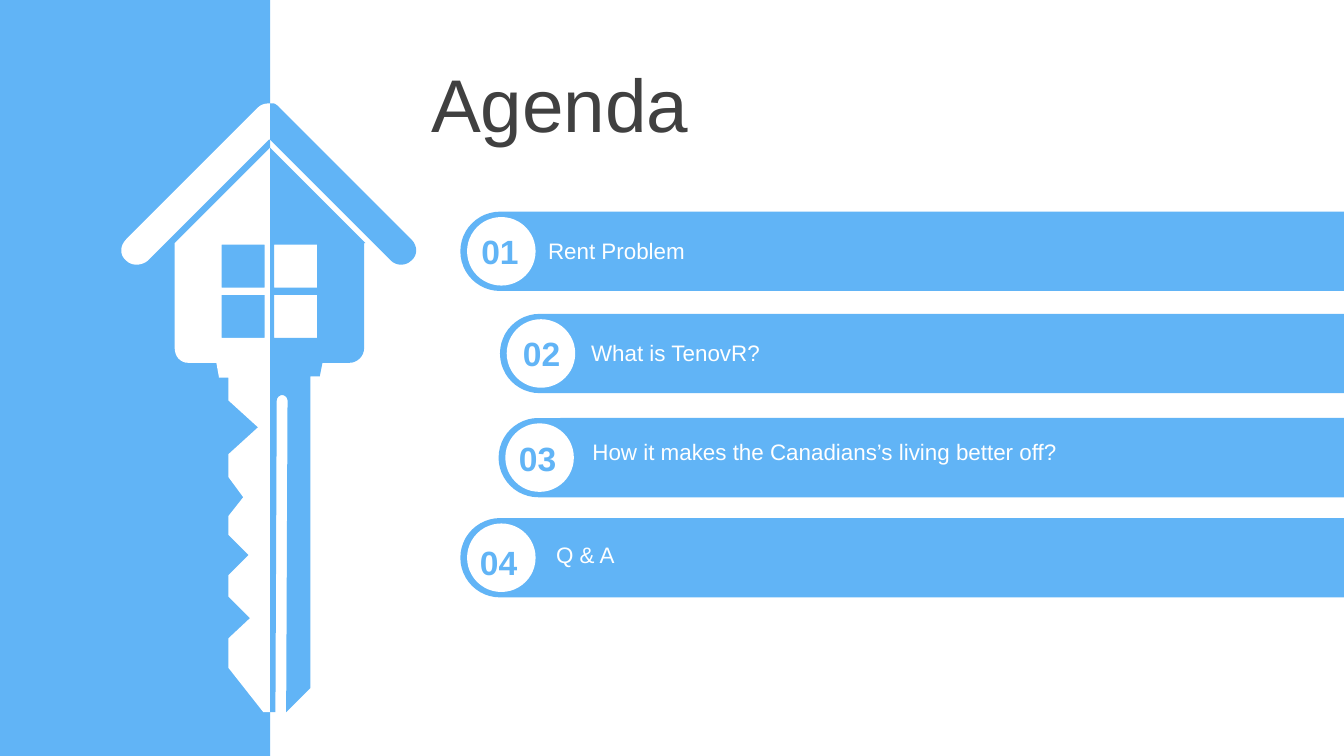
from dataclasses import dataclass

from pptx import Presentation
from pptx.dml.color import RGBColor
from pptx.enum.shapes import MSO_SHAPE
from pptx.enum.text import MSO_ANCHOR, MSO_AUTO_SIZE, PP_ALIGN
from pptx.shapes.autoshape import Shape
from pptx.slide import Slide
from pptx.util import Inches, Length, Pt

COLS = 1000  # grid of 100 cells to the inch
ROWS = COLS * 9 / 16
Point = tuple[float, float]


@dataclass(frozen=True)
class Theme:
    blue: RGBColor = RGBColor(0x61, 0xB4, 0xF6)
    white: RGBColor = RGBColor(0xFF, 0xFF, 0xFF)
    dark: RGBColor = RGBColor(0x40, 0x40, 0x40)
    font: str = "Arial"
    title: int = 40
    number: int = 18
    body: int = 12


@dataclass(frozen=True)
class Box:
    left: float
    top: float
    width: float
    height: float


@dataclass(frozen=True)
class Item:
    """One agenda bar: its corner, and the corners of its number and label."""
    number: str
    label: str
    bar: Point
    num_at: Point
    text_at: Point


THEME = Theme()
BAR, DISK = 59, 51
ITEMS = [
    Item("01", "Rent Problem", (342.5, 157.5), (348, 167), (398, 171.5)),
    Item("02", "What is TenovR?", (372, 233.5), (379, 243), (430, 247.5)),
    Item("03", "How it makes the Canadians’s living better off?",
         (371, 311), (376, 321), (431, 321)),
    Item("04", "Q & A", (342.5, 385.5), (347, 398), (404, 397.5)),
]


def cells(count: float) -> Length:
    return Inches(count / 100)


def bend(a: Point, b: Point, c: Point, d: Point, steps: int = 8) -> list[Point]:
    """Points along the cubic curve from a to d."""
    spots = []
    for step in range(steps + 1):
        t = step / steps
        u = 1 - t
        parts = (u**3, 3 * u * u * t, 3 * u * t * t, t**3)
        spots.append(tuple(sum(w * p[axis] for w, p in zip(parts, (a, b, c, d)))
                           for axis in (0, 1)))
    return spots


def panes(left: float) -> list[list[Point]]:
    """Two window panes, one above the other."""
    size = 32
    return [[(left, top), (left, top + size), (left + size, top + size), (left + size, top)]
            for top in (182, 219.5)]


LEFT_KEY = [
    [(170, 281), (201, 281), (201, 530), (196, 530), (170, 497), (170, 475),
     (186, 460), (170, 444), (170, 428), (185, 413), (170, 398), (170, 384),
     (181, 370), (170, 355), (170, 338), (192, 318), (170, 298)],
    *panes(165),
    [(201, 110), (201, 281), (163, 281), (161, 270),
     *bend((140, 270), (134, 270), (130, 265), (130, 259)), (130, 181)],
    [(201, 77), (201, 104), (200, 104),
     *bend((110, 194), (105, 198), (98, 198), (94, 194)),
     *bend((94, 194), (89, 190), (89, 183), (94, 178)),
     *bend((192, 80), (194, 78), (197, 77), (200, 77))],
]
RIGHT_KEY = [
    [(201, 280), (231, 280), (231, 512), (213, 530),
     *bend((214, 298), (214, 296), (212, 294), (210, 294)),
     *bend((210, 294), (208, 294), (206, 296), (206, 298)), (205, 530), (201, 530)],
    *panes(204),
    [(201, 110), (272, 181), (271, 181),
     *bend((271, 259), (271, 265), (266, 270), (260, 270)),
     (240, 270), (238, 280), (201, 280)],
    [(201, 77), *bend((204, 77), (206, 78), (207, 79), (208, 80)),
     *bend((306, 178), (311, 183), (311, 190), (306, 194)),
     *bend((306, 194), (302, 198), (295, 198), (291, 194)), (201, 104)],
]


def paint(shape: Shape, color: RGBColor) -> None:
    shape.shadow.inherit = False
    shape.fill.solid()
    shape.fill.fore_color.rgb = color
    shape.line.fill.background()


def add_form(slide: Slide, kind: MSO_SHAPE, box: Box, color: RGBColor) -> Shape:
    shape = slide.shapes.add_shape(kind, cells(box.left), cells(box.top),
                                   cells(box.width), cells(box.height))
    paint(shape, color)
    return shape


def add_key(slide: Slide, loops: list[list[Point]], color: RGBColor) -> None:
    """One half of the house key, with its panes cut out."""
    loops = [[(cells(x), cells(y)) for x, y in loop] for loop in loops]
    pen = slide.shapes.build_freeform(*loops[0][0])
    pen.add_line_segments(loops[0][1:], close=True)
    for loop in loops[1:]:
        pen.move_to(*loop[0])
        pen.add_line_segments(loop[1:], close=True)
    paint(pen.convert_to_shape(), color)


def add_text(slide: Slide, words: str, box: Box, size: int, color: RGBColor,
             bold: bool = False, wrap: bool = True,
             align: PP_ALIGN = PP_ALIGN.LEFT, before: int = 0) -> None:
    frame = slide.shapes.add_textbox(cells(box.left), cells(box.top),
                                     cells(box.width), cells(box.height)).text_frame
    frame.word_wrap = wrap
    frame.auto_size = MSO_AUTO_SIZE.NONE
    frame.vertical_anchor = MSO_ANCHOR.MIDDLE
    line = frame.paragraphs[0]
    line.alignment = align
    line.space_before = Pt(before)
    run = line.add_run()
    run.text = words
    run.font.name = THEME.font
    run.font.size = Pt(size)
    run.font.bold = bold
    run.font.color.rgb = color


def add_item(slide: Slide, item: Item) -> None:
    left, top = item.bar
    span = COLS - left
    # The bar stands upright before its quarter turn about the centre.
    upright = Box(left + (span - BAR) / 2, top + (BAR - span) / 2, BAR, span)
    bar = add_form(slide, MSO_SHAPE.ROUND_2_SAME_RECTANGLE, upright, THEME.blue)
    bar.adjustments[0], bar.adjustments[1] = 0.5, 0
    bar.rotation = 270
    add_form(slide, MSO_SHAPE.OVAL, Box(left + 5, top + 4, DISK, DISK), THEME.white)
    add_text(slide, item.number, Box(*item.num_at, 48, 40), THEME.number, THEME.blue,
             bold=True, wrap=False, align=PP_ALIGN.CENTER)
    add_text(slide, item.label, Box(*item.text_at, 547, 30), THEME.body, THEME.white)


def main() -> None:
    deck = Presentation()
    deck.slide_width, deck.slide_height = cells(COLS), cells(ROWS)
    slide = deck.slides.add_slide(deck.slide_layouts[6])
    add_form(slide, MSO_SHAPE.RECTANGLE, Box(-1, 0, 202, ROWS), THEME.blue)
    add_key(slide, LEFT_KEY, THEME.white)
    add_key(slide, RIGHT_KEY, THEME.blue)
    add_text(slide, "Agenda", Box(311, 45, 689, 63), THEME.title, THEME.dark, before=6)
    for item in ITEMS:
        add_item(slide, item)
    deck.save("out.pptx")


if __name__ == "__main__":
    main()
